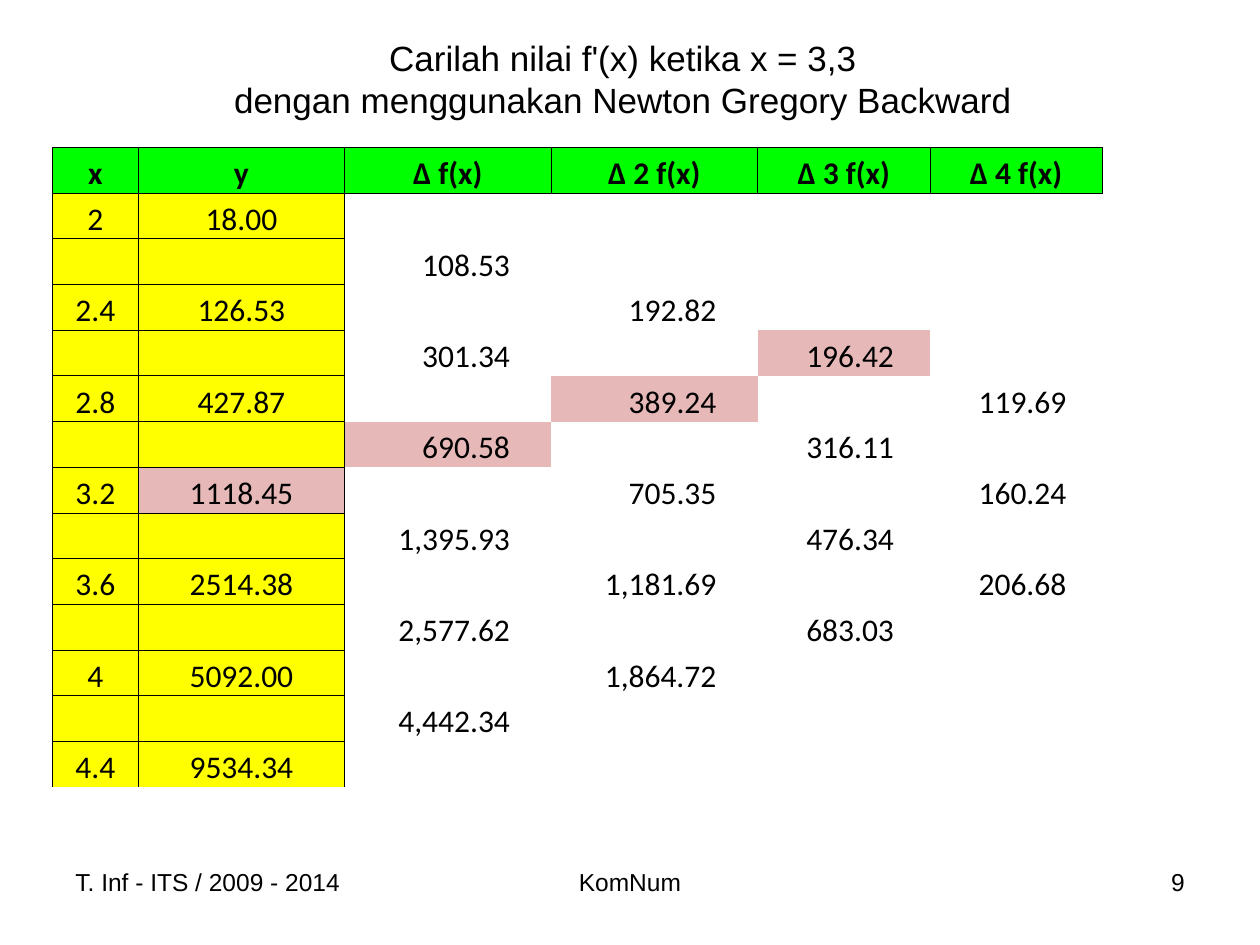
import pptx
import pptx.dml.color
import pptx.enum.text
import pptx.oxml
import pptx.oxml.ns
import pptx.util

Pt = pptx.util.Pt
ALIGN = pptx.enum.text.PP_ALIGN
ANCHOR = pptx.enum.text.MSO_ANCHOR

BLACK, GREEN, YELLOW, PINK = "000000", "00FF00", "FFFF00", "E6B9B8"


def rgb(value):
    return pptx.dml.color.RGBColor.from_string(value)


class Deck:
    """Holds the style and the current slide."""
    body_font, table_font = "Arial", "Calibri"
    table_size, border = 18, 0.5

    def __init__(self, width, height):
        self.prs = pptx.Presentation()
        self.prs.slide_width, self.prs.slide_height = Pt(width), Pt(height)
        self.s = self.prs.slides.add_slide(self.prs.slide_layouts[6])

    def run(self, p, text, size, font, bold=False):
        r = p.add_run()
        r.text = text
        r.font.size, r.font.name, r.font.bold = Pt(size), font, bold
        r.font.color.rgb = rgb(BLACK)

    def text(self, box, lines, size, align, anchor=ANCHOR.TOP):
        sp = self.s.shapes.add_textbox(*[Pt(v) for v in box])
        tf = sp.text_frame
        tf.word_wrap = True
        tf.vertical_anchor = anchor
        p = tf.paragraphs[0]
        p.alignment = align
        for i, line in enumerate(lines):
            if i:
                p.add_line_break()
            self.run(p, line, size, self.body_font)

    def table(self, left, top, widths, row_height, rows):
        size = [Pt(v) for v in (left, top, sum(widths), row_height * rows)]
        tbl = self.s.shapes.add_table(rows, len(widths), *size).table
        tbl.first_row = tbl.horz_banding = False
        for col, width in zip(tbl.columns, widths):
            col.width = Pt(width)
        for row in tbl.rows:
            row.height = Pt(row_height)
        return tbl

    def cell(self, cell, text, fill, edges, bold=False, right=None):
        """edges is a set of the letters L, R, T, B; right is a right inset."""
        cell.margin_left = cell.margin_top = cell.margin_bottom = 0
        cell.margin_right = Pt(right or 0)
        cell.vertical_anchor = ANCHOR.BOTTOM
        p = cell.text_frame.paragraphs[0]
        p.alignment = ALIGN.CENTER if right is None else ALIGN.RIGHT
        p.font.size = Pt(self.table_size)
        if text:
            self.run(p, text, self.table_size, self.table_font, bold)
        if fill:
            cell.fill.solid()
            cell.fill.fore_color.rgb = rgb(fill)
        else:
            cell.fill.background()
        tc_pr = cell._tc.get_or_add_tcPr()
        for i, side in enumerate("LRTB"):
            paint = "<a:noFill/>"
            if side in edges:
                paint = f'<a:solidFill><a:srgbClr val="{BLACK}"/></a:solidFill>'
            tc_pr.insert(i, pptx.oxml.parse_xml(
                f'<a:ln{side} {pptx.oxml.ns.nsdecls("a")} '
                f'w="{Pt(self.border)}">{paint}</a:ln{side}>'))


deck = Deck(720, 540)

# Title
deck.text((32, 0, 648, 90),
          ["Carilah nilai f'(x) ketika x = 3,3",
           "dengan menggunakan Newton Gregory Backward"],
          20, ALIGN.CENTER, ANCHOR.MIDDLE)

# Difference table: each column lists its values on every second row
HEADS = ["x", "y", "Δ f(x)", "Δ 2 f(x)", "Δ 3 f(x)", "Δ 4 f(x)"]
VALUES = [
    ["2", "2.4", "2.8", "3.2", "3.6", "4", "4.4"],
    ["18.00", "126.53", "427.87", "1118.45", "2514.38", "5092.00", "9534.34"],
    ["108.53", "301.34", "690.58", "1,395.93", "2,577.62", "4,442.34"],
    ["192.82", "389.24", "705.35", "1,181.69", "1,864.72"],
    ["196.42", "316.11", "476.34", "683.03"],
    ["119.69", "160.24", "206.68"],
]
WIDTHS = [49, 118, 118, 118, 98.5, 98.5]
INSETS = [None, None, 23.5, 23.5, 20.5, 20.5]
ROWS = 2 * len(VALUES[0])
NEIGHBOURS = {"L": (0, -1), "R": (0, 1), "T": (-1, 0), "B": (1, 0)}


def boxed(r, c):
    return r == 0 or c < 2


def cell_fill(r, c):
    if r == 0:
        return GREEN
    if r + c == 8 and 1 <= c <= 4:  # diagonal used by the backward formula
        return PINK
    return YELLOW if c < 2 else None


def cell_edges(r, c):
    edges = set()
    for side, (dr, dc) in NEIGHBOURS.items():
        nr, nc = r + dr, c + dc
        inside = 0 <= nr < ROWS and 0 <= nc < len(HEADS)
        if boxed(r, c) or (inside and boxed(nr, nc)):
            edges.add(side)
    return edges - {"B"} if r == ROWS - 1 else edges


tbl = deck.table(30, 84.25, WIDTHS, 26.12, ROWS)
for c, head in enumerate(HEADS):
    first = max(1, c)
    texts = {first + 2 * i: value for i, value in enumerate(VALUES[c])}
    texts[0] = head
    for r in range(ROWS):
        deck.cell(tbl.cell(r, c), texts.get(r), cell_fill(r, c),
                  cell_edges(r, c), r == 0, INSETS[c] if r else None)

# Footer
for left, width, text, align in [
        (36, 168, "T. Inf - ITS / 2009 - 2014", ALIGN.LEFT),
        (246, 228, "KomNum", ALIGN.CENTER),
        (516, 168, "9", ALIGN.RIGHT)]:
    deck.text((left, 492, width, 37.5), [text], 14, align)

deck.prs.save("out.pptx")
